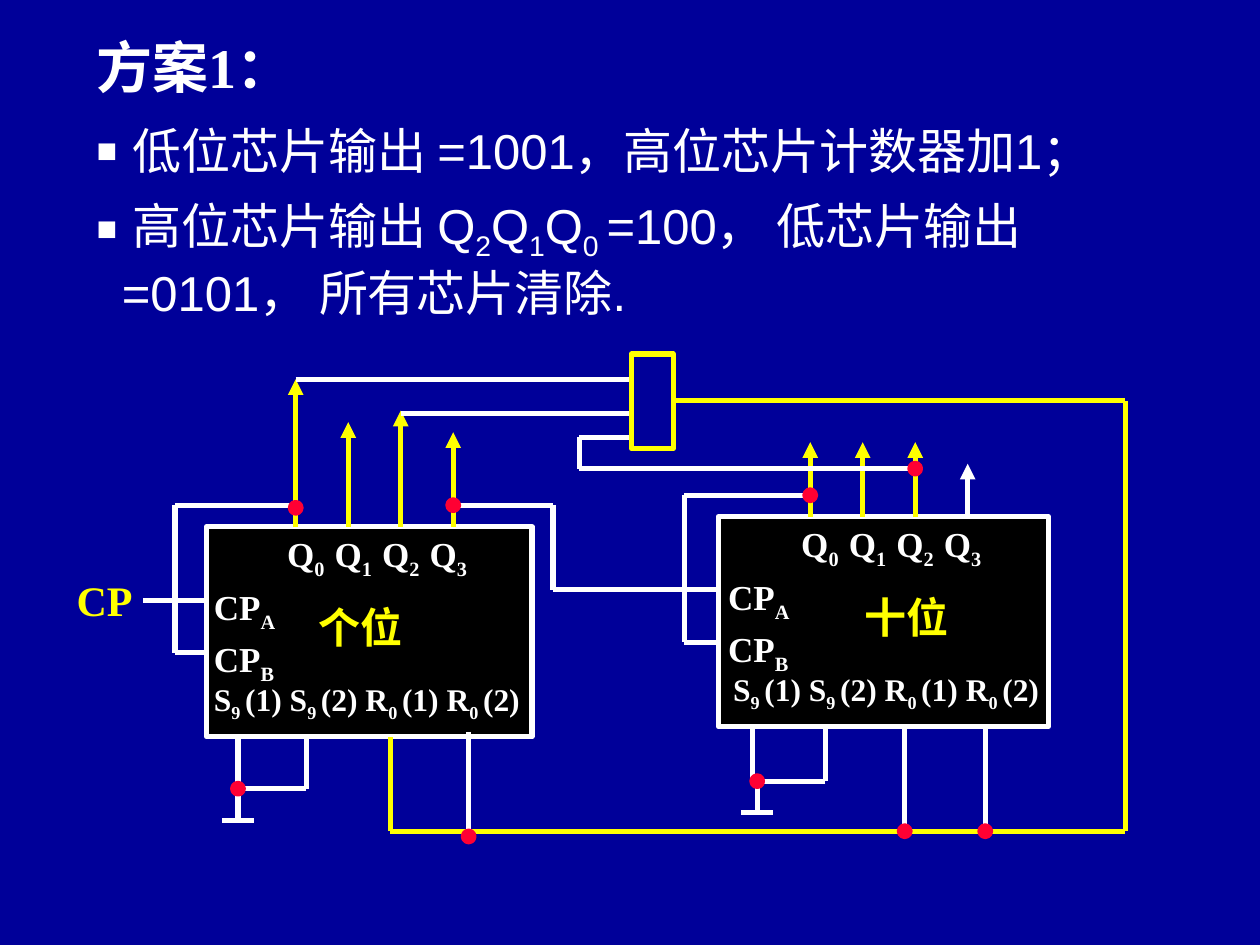
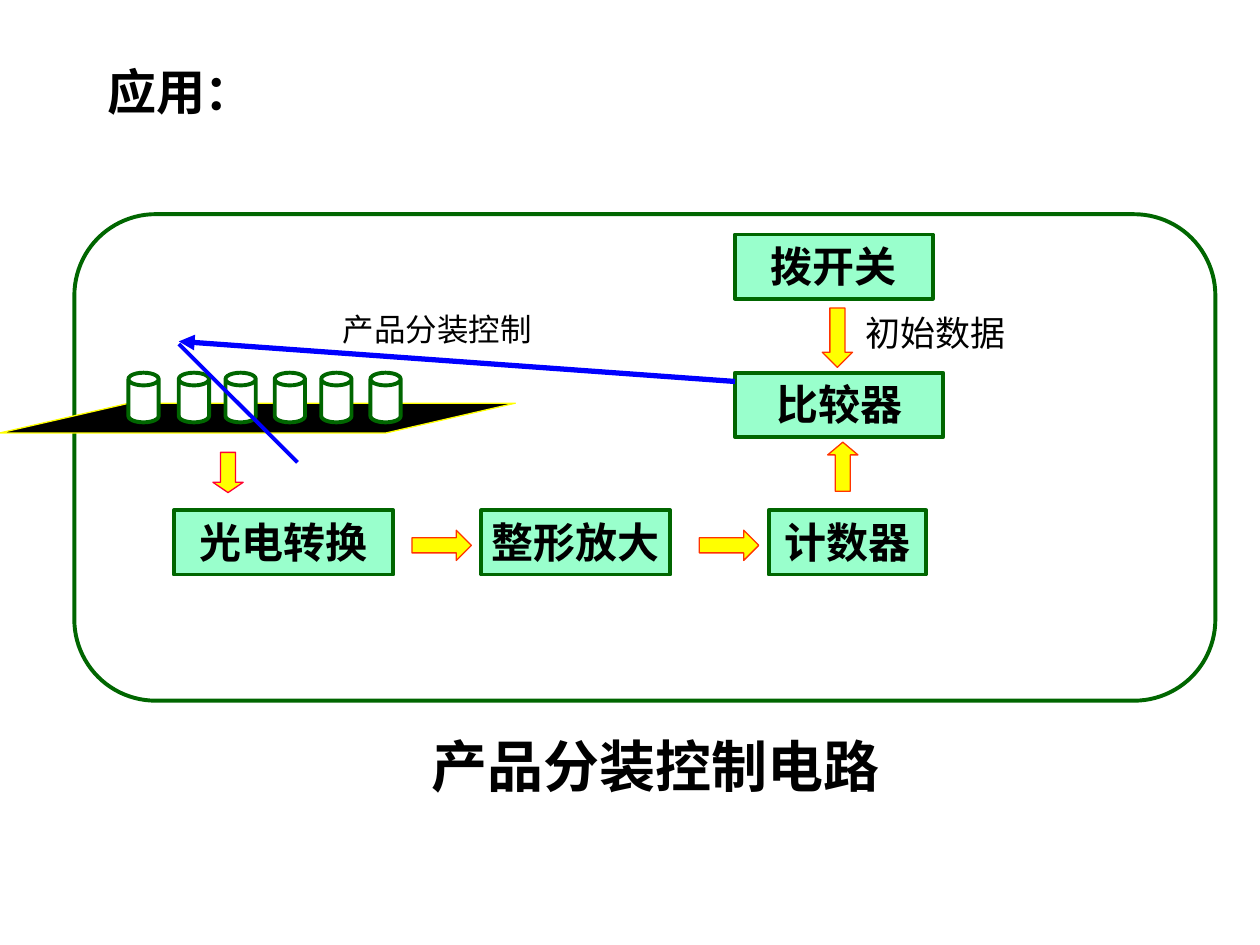
from itertools import pairwise

from lxml.etree import SubElement
from pptx import Presentation
from pptx.dml.color import RGBColor
from pptx.enum.shapes import MSO_CONNECTOR, MSO_SHAPE as SHAPE
from pptx.enum.text import MSO_ANCHOR as ANCHOR, MSO_AUTO_SIZE as AUTO_SIZE, PP_ALIGN as ALIGN
from pptx.oxml.ns import qn
from pptx.util import Pt

COLORS = {
    "navy": "000099", "white": "FFFFFF", "black": "000000", "yellow": "FFFF00",
    "red": "FF0033", "orange": "FF3300", "mint": "99FFCC", "green": "006600",
    "blue": "0000FF",
}
SERIF, SANS, HAN = "Times New Roman", "Arial", "Noto Sans CJK SC"
TITLE_ONLY, TITLE_AND_BODY = 5, 1


def rgb(name):
    return RGBColor.from_string(COLORS[name])


class Sheet:
    """Holds the current page and its text style; all lengths are points."""

    def __init__(self, deck, layout, background, ink, font):
        self.page = deck.slides.add_slide(deck.slide_layouts[layout])
        self.page.background.fill.solid()
        self.page.background.fill.fore_color.rgb = rgb(background)
        self.ink, self.font = ink, font

    def fill_para(self, para, text, size, color=None, font=None, bold=True,
                  align=ALIGN.LEFT, before=0, bullet=None, tabs=()):
        """Fill a paragraph; parts in braces become subscripts."""
        for index, part in enumerate(text.replace("}", "{").split("{")):
            if part:
                span = para.add_run()
                span.text = part
                if index % 2:
                    span._r.get_or_add_rPr().set("baseline", "-25000")
        para.alignment = align
        para.space_before = Pt(before)
        props = para._p.get_or_add_pPr()
        if bullet:
            props.set("marL", str(Pt(14.4)))
            props.set("indent", str(Pt(-14.4)))
            SubElement(props, qn("a:buSzPct"), val="70000")
            SubElement(props, qn("a:buChar"), char=bullet)
        if tabs:
            stops = SubElement(props, qn("a:tabLst"))
            for stop in tabs:
                SubElement(stops, qn("a:tab"), pos=str(Pt(stop)), algn="l")
        para.font.size = Pt(size)
        para.font.bold = bold
        para.font.name = font or self.font
        para.font.color.rgb = rgb(color or self.ink)
        SubElement(props.find(qn("a:defRPr")), qn("a:ea"), typeface=HAN)

    def frame(self, shape, side=7.2, anchor=ANCHOR.TOP):
        frame = shape.text_frame
        frame.word_wrap = True
        frame.auto_size = AUTO_SIZE.NONE
        frame.vertical_anchor = anchor
        frame.margin_left = frame.margin_right = Pt(side)
        frame.margin_top = frame.margin_bottom = Pt(3.6)
        return frame

    def holder(self, index, area):
        shape = self.page.placeholders[index]
        shape.left, shape.top, shape.width, shape.height = map(Pt, area)
        return self.frame(shape)

    def title(self, area, text, size):
        self.fill_para(self.holder(0, area).paragraphs[0], text, size)

    def bullets(self, area, lines, size, gap):
        frame = self.holder(1, area)
        for index, line in enumerate(lines):
            para = frame.add_paragraph() if index else frame.paragraphs[0]
            self.fill_para(para, line, size, font=SANS, bold=False,
                           before=gap if index else 0, bullet="■")

    def text(self, area, text, size, side=7.2, **style):
        box = self.page.shapes.add_textbox(*map(Pt, area))
        self.fill_para(self.frame(box, side).paragraphs[0], text, size, **style)

    def shape(self, kind, area, fill, line, weight, adjust=(), turn=0):
        shape = self.page.shapes.add_shape(kind, *map(Pt, area))
        shape.shadow.inherit = False
        if fill:
            shape.fill.solid()
            shape.fill.fore_color.rgb = rgb(fill)
        else:
            shape.fill.background()
        shape.line.color.rgb = rgb(line)
        shape.line.width = Pt(weight)
        for index, value in enumerate(adjust):
            shape.adjustments[index] = value
        shape.rotation = turn
        return shape

    def dot(self, x, y):
        self.shape(SHAPE.OVAL, (x - 3, y - 3, 6, 6), "red", "red", 3)

    def node(self, area, text):
        shape = self.shape(SHAPE.RECTANGLE, area, "mint", "green", 2.25)
        para = self.frame(shape, 0).paragraphs[0]
        self.fill_para(para, text, 24, align=ALIGN.CENTER)

    def wire(self, color, *points, weight=3, arrow=False):
        for start, end in pairwise(points):
            line = self.page.shapes.add_connector(
                MSO_CONNECTOR.STRAIGHT, *map(Pt, start + end))
            line.line.color.rgb = rgb(color)
            line.line.width = Pt(weight)
            if arrow:
                SubElement(line.line._get_or_add_ln(), qn("a:tailEnd"), type="triangle")
            SubElement(line._element.spPr, qn("a:effectLst"))

    def chip(self, area, label_left, reset_left, name_left, name):
        top = area[1]
        self.shape(SHAPE.RECTANGLE, area, "black", "white", 3)
        self.text((label_left + 41.8, top, 150, 31), "Q{0}\tQ{1}\tQ{2}\tQ{3}", 20,
                  tabs=[27.15 * step for step in (1, 2, 3)])
        for row, clock in enumerate("AB", 1):
            self.text((label_left, top + 30 * row, 72, 31), f"CP{{{clock}}}", 20)
        self.text((reset_left, top + 84, 222, 29),
                  "S{9 }(1) S{9 }(2) R{0 }(1) R{0 }(2)", 18)
        self.text((name_left, top + 39, 108, 36), name, 24, color="yellow")

    def ground(self, left, right, stem, top, bus):
        self.wire("white", (left, top), (left, bus))
        self.wire("white", (right, top), (right, bus), (left, bus))
        self.wire("white", (stem, bus), (stem, bus + 18))
        self.wire("white", (stem - 9, bus + 18), (stem + 9, bus + 18))
        self.dot(stem, bus)


def build_counter(deck):
    sheet = Sheet(deck, TITLE_AND_BODY, "navy", "white", SERIF)
    sheet.title((48, 15, 252, 45), "方案1：", 32)
    sheet.bullets((48, 65.5, 618, 126), (
        " 低位芯片输出 =1001，高位芯片计数器加1；",
        " 高位芯片输出 Q{2}Q{1}Q{0 }=100， 低芯片输出 =0101， 所有芯片清除.",
    ), 28, 9)

    # Counter chips
    sheet.chip((118, 301, 186, 120), 115.2, 115.2, 175, "个位")
    sheet.chip((410.5, 295.2, 188.5, 120), 409, 411.9, 486.7, "十位")
    sheet.text((36.7, 324.7, 60, 36), "CP", 24, color="yellow")

    # Output pins
    for left, base, tips in ((169, 301, (216.7, 241.2, 234.7, 247)),
                             (463, 295.2, (252.7, 252.7, 252.7, 265))):
        for index, tip in enumerate(tips):
            x = left + 30 * index
            color = "white" if tip == 265 else "yellow"
            sheet.wire(color, (x, base), (x, tip), arrow=True)

    # Clock wiring
    sheet.wire("white", (169, 288.7), (100, 288.7), (100, 373), (118, 373))
    sheet.wire("white", (118, 343), (82, 343))
    sheet.wire("white", (463, 283), (391, 283), (391, 367), (409, 367))
    sheet.wire("white", (409, 337), (316, 337), (316, 288.7), (262, 288.7))

    # Reset gate, its inputs and its output
    sheet.wire("white", (523, 267.8), (331, 267.8), (331, 249.8), (367, 249.8))
    sheet.wire("white", (229, 236.2), (362, 236.2))
    sheet.wire("white", (169, 216.7), (360, 216.7))
    sheet.wire("yellow", (366.5, 229), (643, 229), (643, 475), (223, 475), (223, 421))
    sheet.shape(SHAPE.RECTANGLE, (360.7, 202.3, 24, 54), "navy", "yellow", 3)

    # Grounded and reset pins
    sheet.ground(136, 175, 136, 421.5, 450.7)
    sheet.ground(430, 471.6, 432.7, 415, 446.4)
    for x, top, bottom in ((267.8, 418.3, 478), (517, 415, 475), (563, 415, 475)):
        sheet.wire("white", (x, top), (x, bottom))
        sheet.dot(x, bottom)
    for x, y in ((169, 290.2), (259, 288.7), (463, 283), (523, 267.8)):
        sheet.dot(x, y)


def build_application(deck):
    sheet = Sheet(deck, TITLE_ONLY, "white", "black", HAN)
    sheet.title((54, 31.7, 294, 41), "应用：", 28)
    sheet.text((150.5, 414.7, 448, 46), "产品分装控制电路", 32, align=ALIGN.CENTER)
    sheet.shape(SHAPE.ROUNDED_RECTANGLE, (42.5, 122.4, 652, 278), None, "green", 2.25,
                (0.167,))

    # Processing blocks
    for left, top, width, name in (
            (99.4, 291.6, 125.3, "光电转换"), (275, 291.6, 108, "整形放大"),
            (439.2, 291.6, 90, "计数器"), (420, 213, 119, "比较器"),
            (420, 134, 113, "拨开关")):
        sheet.node((left, top, width, 36.7), name)

    # Flow arrows
    for kind, area, head, line, turn in (
            (SHAPE.RIGHT_ARROW, (235.4, 303, 34, 17.3), 0.5, "orange", 0),
            (SHAPE.RIGHT_ARROW, (399.6, 303, 34, 17.3), 0.5, "orange", 0),
            (SHAPE.RIGHT_ARROW, (461.5, 184.3, 34, 17.3), 0.5, "orange", 90),
            (SHAPE.UP_ARROW, (473, 252.7, 17.3, 28), 0.42, "orange", 0),
            (SHAPE.DOWN_ARROW, (121.7, 258.5, 17.3, 23), 0.34, "red", 0)):
        sheet.shape(kind, area, "yellow", line, 0.75, (0.5, head), turn)

    # Conveyor with products
    sheet.shape(SHAPE.PARALLELOGRAM, (0, 230.4, 294.5, 17), "black", "yellow", 0.75,
                (4.34,))
    for left in (73.4, 102.2, 128.9, 157, 183.6, 211.7):
        sheet.shape(SHAPE.CAN, (left, 213, 17.3, 28.4), "white", "green", 2.25, (0.42,))
    sheet.wire("blue", (102.2, 196.6), (170, 264.2), weight=2.25)

    # Control feedback
    sheet.wire("blue", (420, 218), (102.2, 195.1), arrow=True)
    sheet.text((195.8, 173.5, 255, 29), "产品分装控制", 18, side=0, font=SANS, bold=False)
    sheet.text((487.4, 174.2, 138, 31), "初始数据", 20, font=SANS, bold=False)


def main():
    deck = Presentation()
    deck.slide_width, deck.slide_height = Pt(720), Pt(540)
    build_counter(deck)
    build_application(deck)
    deck.save("out.pptx")


if __name__ == "__main__":
    main()
